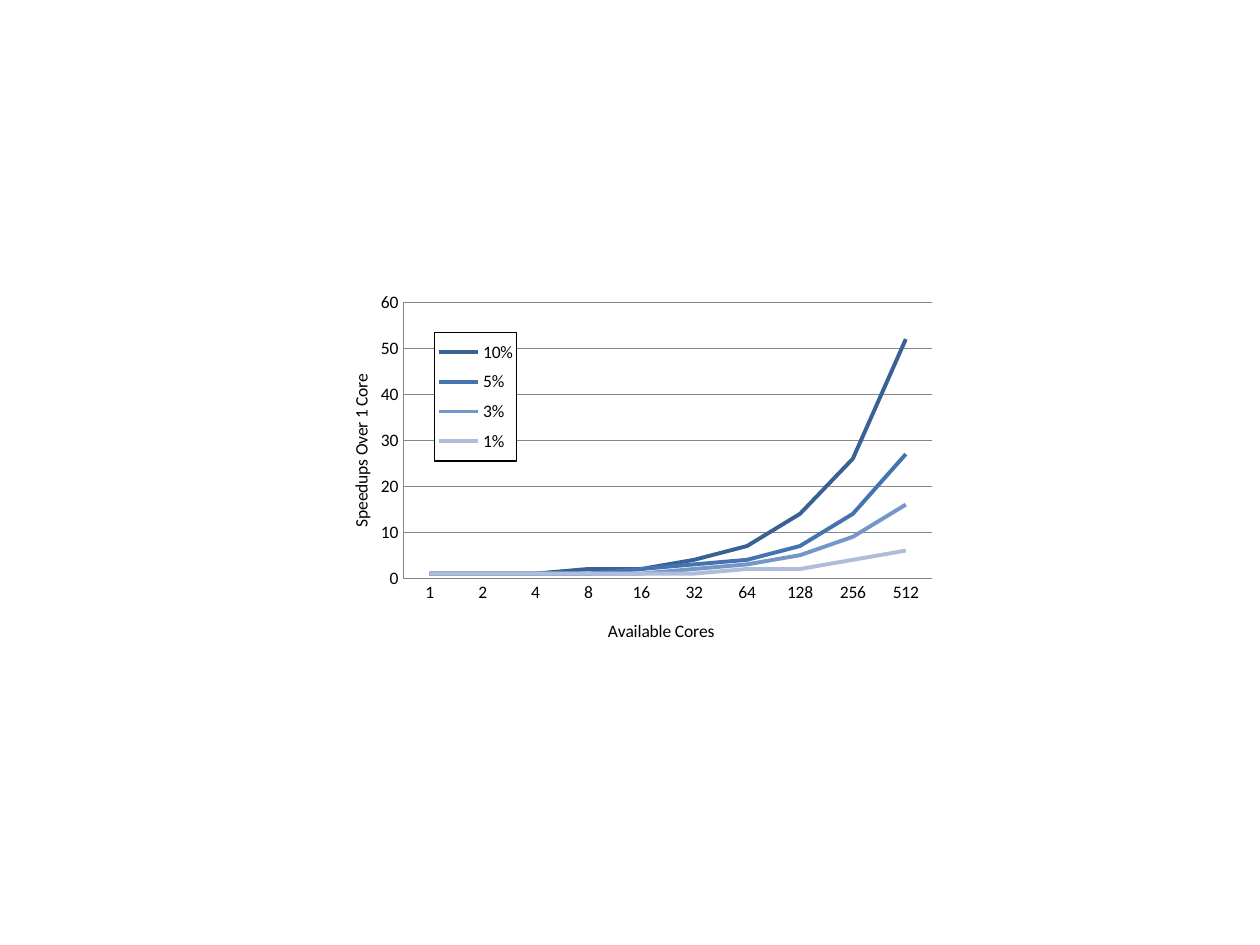
import pptx
import pptx.util
import pptx.oxml
import pptx.oxml.ns
import pptx.chart.data
import pptx.dml.color
import pptx.enum.chart

Rgb = pptx.dml.color.RGBColor
Pt = pptx.util.Pt
enum = pptx.enum.chart

FONT, SIZE = "Calibri", 10
BLACK = Rgb(0x00, 0x00, 0x00)
GRAY = Rgb(0x86, 0x86, 0x86)
CORES = ["1", "2", "4", "8", "16", "32", "64", "128", "256", "512"]
LINES = [
    ("10%", [1, 1, 1, 2, 2, 4, 7, 14, 26, 52], Rgb(0x3A, 0x61, 0x94)),
    ("5%", [1, 1, 1, 1, 2, 3, 4, 7, 14, 27], Rgb(0x44, 0x73, 0xB0)),
    ("3%", [1, 1, 1, 1, 1, 2, 3, 5, 9, 16], Rgb(0x75, 0x96, 0xC6)),
    ("1%", [1, 1, 1, 1, 1, 1, 2, 2, 4, 6], Rgb(0xAF, 0xBD, 0xDB)),
]
PLOT = {"x": 0.14, "y": 0.05, "w": 0.84, "h": 0.73}
KEY = {"x": 0.19, "y": 0.13, "w": 0.13, "h": 0.34}
CHART_NS = pptx.oxml.ns.nsdecls("c")
KEY_BOX = f"""<c:spPr {pptx.oxml.ns.nsdecls("c", "a")}>
<a:solidFill><a:srgbClr val="FFFFFF"/></a:solidFill>
<a:ln w="9525"><a:solidFill><a:srgbClr val="000000"/></a:solidFill></a:ln>
</c:spPr>"""


def place(node, index, area, inner=False):
    for old in node.findall(pptx.oxml.ns.qn("c:layout")):
        node.remove(old)
    target = '<c:layoutTarget val="inner"/>' if inner else ""
    modes = "".join(f'<c:{key}Mode val="edge"/>' for key in "xy")
    sizes = "".join(f'<c:{key} val="{val}"/>' for key, val in area.items())
    node.insert(index, pptx.oxml.parse_xml(
        f"<c:layout {CHART_NS}><c:manualLayout>{target}{modes}{sizes}"
        "</c:manualLayout></c:layout>"))


def add_title(axis, text, *, x, y, size=SIZE, bold=False, color=BLACK):
    title = axis.axis_title
    part = title.text_frame.paragraphs[0].add_run()
    part.text = text
    part.font.name = FONT
    part.font.size = Pt(size)
    part.font.bold = bold
    part.font.color.rgb = color
    place(title._element, 1, {"x": x, "y": y})


def style_axis(axis):
    axis.major_tick_mark = enum.XL_TICK_MARK.NONE
    axis.minor_tick_mark = enum.XL_TICK_MARK.NONE
    axis.format.line.color.rgb = GRAY
    axis.format.line.width = Pt(0.75)


def add_key(chart):
    chart.has_legend = True
    key = chart.legend
    key.position = enum.XL_LEGEND_POSITION.LEFT
    key.include_in_layout = True
    node = key._element
    place(node, 1, KEY)
    over = node.find(pptx.oxml.ns.qn("c:overlay"))
    over.addnext(pptx.oxml.parse_xml(KEY_BOX))


def add_chart(slide, wide, high):
    data = pptx.chart.data.CategoryChartData(number_format="0")
    data.categories = CORES
    for name, vals, color in LINES:
        data.add_series(name, vals)
    chart = slide.shapes.add_chart(
        enum.XL_CHART_TYPE.LINE, int(wide * 0.25), int(high * 0.3),
        int(wide * 0.5), int(high * 0.4), data).chart
    chart.has_title = False
    chart.font.name = FONT
    chart.font.size = Pt(SIZE)
    chart.font.color.rgb = BLACK
    chart.plots[0].vary_by_categories = False
    for line, (name, vals, color) in zip(chart.plots[0].series, LINES):
        line.smooth = False
        line.marker.style = enum.XL_MARKER_STYLE.NONE
        line.format.line.color.rgb = color
        line.format.line.width = Pt(2.25)

    cores, speed = chart.category_axis, chart.value_axis
    style_axis(cores)
    style_axis(speed)
    speed.minimum_scale, speed.maximum_scale = 0, 60
    speed.major_unit = 10
    speed.tick_labels.number_format = "0"
    speed.tick_labels.number_format_is_linked = False
    speed.has_major_gridlines = True
    grid = speed.major_gridlines.format.line
    grid.color.rgb = GRAY
    grid.width = Pt(0.75)
    add_title(cores, "Available Cores", x=0.46, y=0.88)
    add_title(speed, "Speedups Over 1 Core", x=0.05, y=0.23)
    add_key(chart)
    place(chart._chartSpace.chart.plotArea, 0, PLOT, inner=True)


def main():
    deck = pptx.Presentation()
    deck.slide_width = pptx.util.Inches(10)
    deck.slide_height = pptx.util.Inches(7.5)
    slide = deck.slides.add_slide(deck.slide_layouts[6])
    add_chart(slide, deck.slide_width, deck.slide_height)
    deck.save("out.pptx")


if __name__ == "__main__":
    main()
